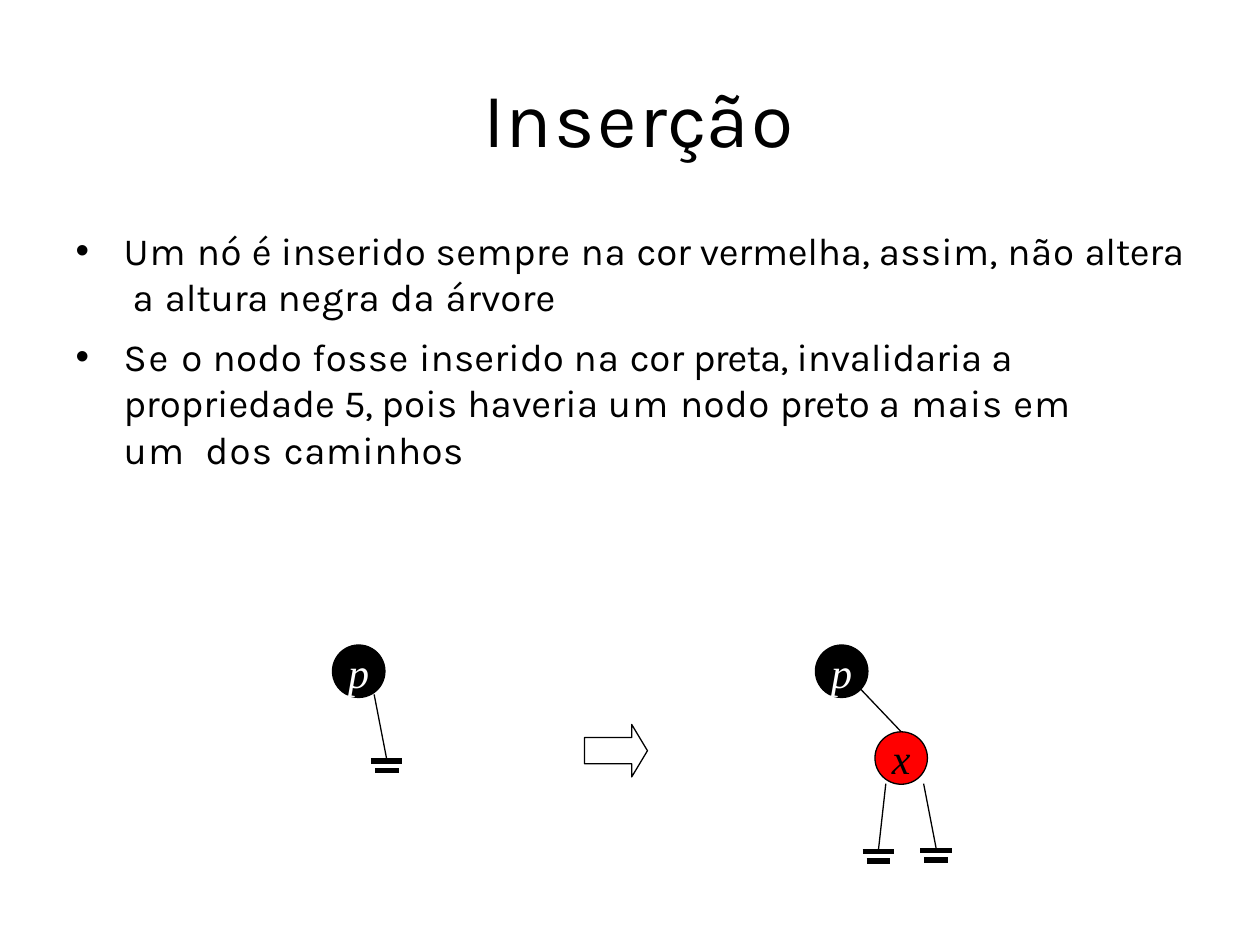
from lxml import etree
from pptx import Presentation
from pptx.dml.color import RGBColor
from pptx.enum.shapes import MSO_CONNECTOR, MSO_SHAPE
from pptx.enum.text import MSO_ANCHOR, MSO_AUTO_SIZE, PP_ALIGN
from pptx.oxml.ns import qn
from pptx.util import Pt

STRAIGHT = MSO_CONNECTOR.STRAIGHT
OVAL, RIGHT_ARROW = MSO_SHAPE.OVAL, MSO_SHAPE.RIGHT_ARROW
TOP, MIDDLE = MSO_ANCHOR.TOP, MSO_ANCHOR.MIDDLE
LEFT, CENTER = PP_ALIGN.LEFT, PP_ALIGN.CENTER
NO_AUTOFIT = MSO_AUTO_SIZE.NONE

BLACK = RGBColor(0x00, 0x00, 0x00)
WHITE = RGBColor(0xFF, 0xFF, 0xFF)
RED = RGBColor(0xFF, 0x00, 0x00)

# Each run is (text, letter spacing in points)
HEADING = [("I", -0.7), ("nse", 1.4), ("r", -1.8), ("ç", -0.1), ("ã", 1), ("o", 0.6)]
POINTS = [
    [("Um ", 0.6), ("nó ", 0.3), ("é inserido ", 0.1), ("sempre ", 0.3),
     ("na ", 0.5), ("cor vermelha, ", -0.1), ("assim, ", 0.2), ("não ", 0.4),
     ("altera  ", -0.2), ("a ", 0.6), ("altura ", -0.1), ("negra da ", 0.4),
     ("árvore", 0.1)],
    [("Se ", 1.1), ("o nodo fosse ", 0.3), ("inserido ", 0.1), ("na ", 0.5),
     ("cor ", -0.1), ("preta, ", -0.5), ("invalidaria ", -0.1), ("a  ", 0.6),
     ("propriedade ", 0), ("5, ", -0.4), ("pois ", 0.2), ("haveria ", 0.1),
     ("um ", 0.7), ("nodo ", 0.3), ("preto ", -0.2), ("a ", 0.6),
     ("mais ", 0.5), ("em ", 0.6), ("um  dos ", 0.7), ("caminhos", 0.3)],
]
RIGHT_INDENTS = [0, 36]

NODE_SIZE = 30
NODES = [  # label, left, top, fill, text colour
    ("p", 190, 368.6, BLACK, WHITE),
    ("p", 466, 368.6, BLACK, WHITE),
    ("x", 500, 418.2, RED, BLACK),
]
NIL_LEAVES = [  # parent end of the edge, then centre of the upper bar
    (213.8, 396.8, 221, 434.9),
    (506.2, 447.8, 502, 486.5),
    (527.8, 447.8, 535, 486),
]


def add_spaced_runs(paragraph, runs, size):
    for text, spacing in runs:
        run = paragraph.add_run()
        run.text = text
        run.font.name = "Karla"
        run.font.size = Pt(size)
        run.font.color.rgb = BLACK
        run.font._element.set("spc", str(round(spacing * 100)))


def add_line(x1, y1, x2, y2, width):
    line = slide.shapes.add_connector(STRAIGHT, Pt(x1), Pt(y1), Pt(x2), Pt(y2))
    line.line.color.rgb = BLACK
    line.line.width = Pt(width)
    etree.SubElement(line._element.spPr, qn("a:effectLst"))


prs = Presentation()
prs.slide_width, prs.slide_height = Pt(720), Pt(540)
slide = prs.slides.add_slide(prs.slide_layouts[5])

# Title
title = slide.shapes.title
title.left, title.top, title.width, title.height = Pt(96.5), Pt(-5), Pt(527), Pt(145.5)
frame = title.text_frame
frame.auto_size = NO_AUTOFIT
frame.vertical_anchor = TOP
frame.margin_left = frame.margin_right = frame.margin_bottom = 0
frame.margin_top = Pt(45.4)
heading = frame.paragraphs[0]
heading.alignment = LEFT
heading._p.get_or_add_pPr().set("marL", str(Pt(180)))
add_spaced_runs(heading, HEADING, 44)

# Bullet points
body = slide.shapes.add_textbox(Pt(43.2), Pt(121.7), Pt(633.6), Pt(274.3))
frame = body.text_frame
frame.word_wrap = True
frame.margin_left = frame.margin_right = frame.margin_bottom = 0
frame.margin_top = Pt(8)
for index, (runs, right_indent) in enumerate(zip(POINTS, RIGHT_INDENTS)):
    point = frame.add_paragraph() if index else frame.paragraphs[0]
    properties = point._p.get_or_add_pPr()
    properties.set("marL", str(Pt(27.4)))
    properties.set("marR", str(Pt(right_indent)))
    properties.set("indent", str(Pt(-27.4)))
    if index:
        point.space_before = Pt(8)
    etree.SubElement(properties, qn("a:buFont"), typeface="Arial")
    etree.SubElement(properties, qn("a:buChar"), char="•")
    add_spaced_runs(point, runs, 22)

# Tree nodes
for label, left, top, fill, text_color in NODES:
    node = slide.shapes.add_shape(OVAL, Pt(left), Pt(top), Pt(NODE_SIZE), Pt(NODE_SIZE))
    node.shadow.inherit = False
    node.fill.solid()
    node.fill.fore_color.rgb = fill
    node.line.color.rgb = BLACK
    node.line.width = Pt(0.75)
    frame = node.text_frame
    frame.word_wrap = False
    frame.vertical_anchor = MIDDLE
    frame.margin_left = frame.margin_right = frame.margin_top = frame.margin_bottom = 0
    frame.paragraphs[0].alignment = CENTER
    run = frame.paragraphs[0].add_run()
    run.text = label
    run.font.name = "Times New Roman"
    run.font.size = Pt(24)
    run.font.italic = True
    run.font.color.rgb = text_color

# Edge from p to x, then the edges to the nil leaves
add_line(491.8, 393.8, 515, 418.2, 0.75)
for parent_x, parent_y, leaf_x, leaf_y in NIL_LEAVES:
    add_line(parent_x, parent_y, leaf_x, leaf_y - 1, 0.75)
    for half_width, drop in ((9, 0), (6.75, 5.5)):
        add_line(leaf_x - half_width, leaf_y + drop, leaf_x + half_width, leaf_y + drop, 3)

# Arrow between the two trees
arrow = slide.shapes.add_shape(RIGHT_ARROW, Pt(334), Pt(414), Pt(36), Pt(30))
arrow.adjustments[0], arrow.adjustments[1] = 0.5, 0.3
arrow.shadow.inherit = False
arrow.fill.background()
arrow.line.color.rgb = BLACK
arrow.line.width = Pt(0.75)

prs.save("out.pptx")
